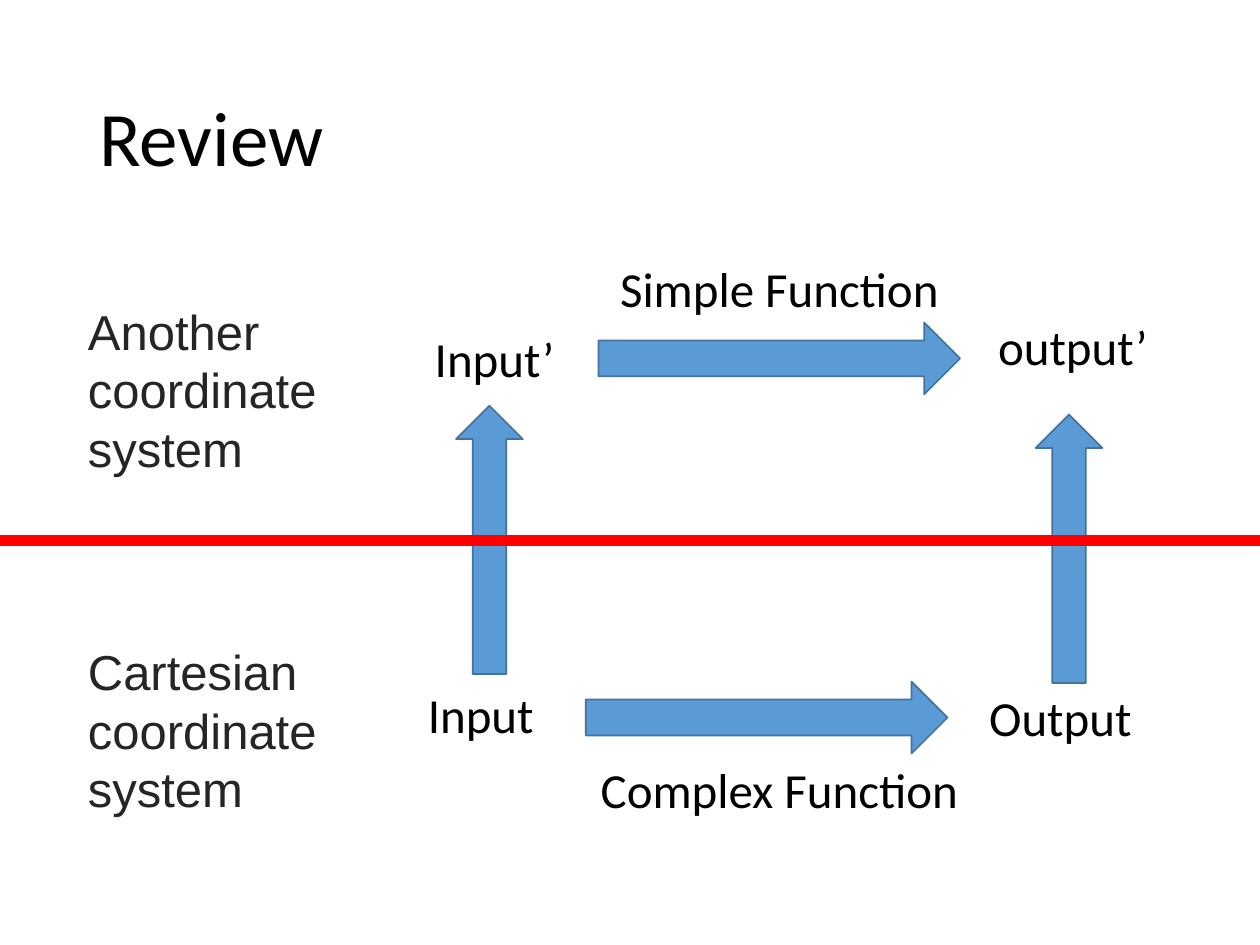
from lxml import etree
from pptx import Presentation
from pptx.dml.color import RGBColor
from pptx.enum.shapes import MSO_CONNECTOR, MSO_SHAPE
from pptx.enum.text import MSO_ANCHOR, PP_ALIGN
from pptx.oxml.ns import qn
from pptx.util import Inches, Pt

LEFT, CENTER = PP_ALIGN.LEFT, PP_ALIGN.CENTER
TOP, MIDDLE = MSO_ANCHOR.TOP, MSO_ANCHOR.MIDDLE
RIGHT_ARROW = MSO_SHAPE.RIGHT_ARROW
STRAIGHT = MSO_CONNECTOR.STRAIGHT

BLACK = RGBColor(0x00, 0x00, 0x00)
DARK_GRAY = RGBColor(0x25, 0x25, 0x25)
BLUE = RGBColor(0x5B, 0x9B, 0xD5)
BLUE_EDGE = RGBColor(0x43, 0x73, 0x9E)
RED = RGBColor(0xFF, 0x00, 0x00)

# Content: text, left, top
SYSTEMS = [("Another coordinate system", 0.6, 2.34),
           ("Cartesian coordinate system", 0.6, 5.04)]
VALUES = [("Input’", 3.03, 2.56), ("output’", 7.62, 2.46),
          ("Input", 2.92, 5.38), ("Output", 7.52, 5.41)]
FUNCTIONS = [("Simple Function", 4.5, 2.0), ("Complex Function", 4.5, 5.98)]

# Arrows: left, top, before rotation
FUNCTION_ARROWS = [(4.75, 2.56), (4.65, 5.41)]
TRANSFORM_ARROWS = [(2.82, 4.02), (7.42, 4.09)]
DIVIDER_Y = 4.29

prs = Presentation()
prs.slide_width, prs.slide_height = Inches(10), Inches(7.5)
s = prs.slides.add_slide(prs.slide_layouts[6])


def add_text(text, x, y, w, h, size=28, font="Calibri", color=BLACK,
             align=CENTER, anchor=TOP):
    tf = s.shapes.add_textbox(Inches(x), Inches(y), Inches(w), Inches(h)).text_frame
    tf.word_wrap = True
    tf.vertical_anchor = anchor
    tf.text = text
    p = tf.paragraphs[0]
    p.alignment = align
    r = p.runs[0]
    r.font.size, r.font.name = Pt(size), font
    r.font.color.rgb = color
    return p


def add_arrow(x, y, w, h, rotation=0):
    sp = s.shapes.add_shape(RIGHT_ARROW, Inches(x), Inches(y), Inches(w), Inches(h))
    sp.rotation = rotation
    sp.shadow.inherit = False
    sp.fill.solid()
    sp.fill.fore_color.rgb = BLUE
    sp.line.color.rgb = BLUE_EDGE
    sp.line.width = Pt(1)


# Title
title = add_text("Review", 0.69, 0.4, 8.62, 1.45, size=44, align=LEFT, anchor=MIDDLE)
title.line_spacing = 0.9

# Arrows across each system, and up from one system to the other
for x, y in FUNCTION_ARROWS:
    add_arrow(x, y, 2.87, 0.57)
for x, y in TRANSFORM_ARROWS:
    add_arrow(x, y, 2.13, 0.53, rotation=270)

# Divider between the systems
divider = s.shapes.add_connector(STRAIGHT, Inches(-0.57), Inches(DIVIDER_Y),
                                 Inches(10.6), Inches(DIVIDER_Y))
divider.line.color.rgb = RED
divider.line.width = Pt(6)
etree.SubElement(divider._element.spPr, qn("a:effectLst"))

# Labels
for text, x, y in SYSTEMS:
    add_text(text, x, y, 2.16, 1.51, font="Arial", color=DARK_GRAY, align=LEFT)
for text, x, y in VALUES:
    add_text(text, x, y, 1.79, 0.57)
for text, x, y in FUNCTIONS:
    add_text(text, x, y, 3.37, 0.57)

prs.save("out.pptx")
